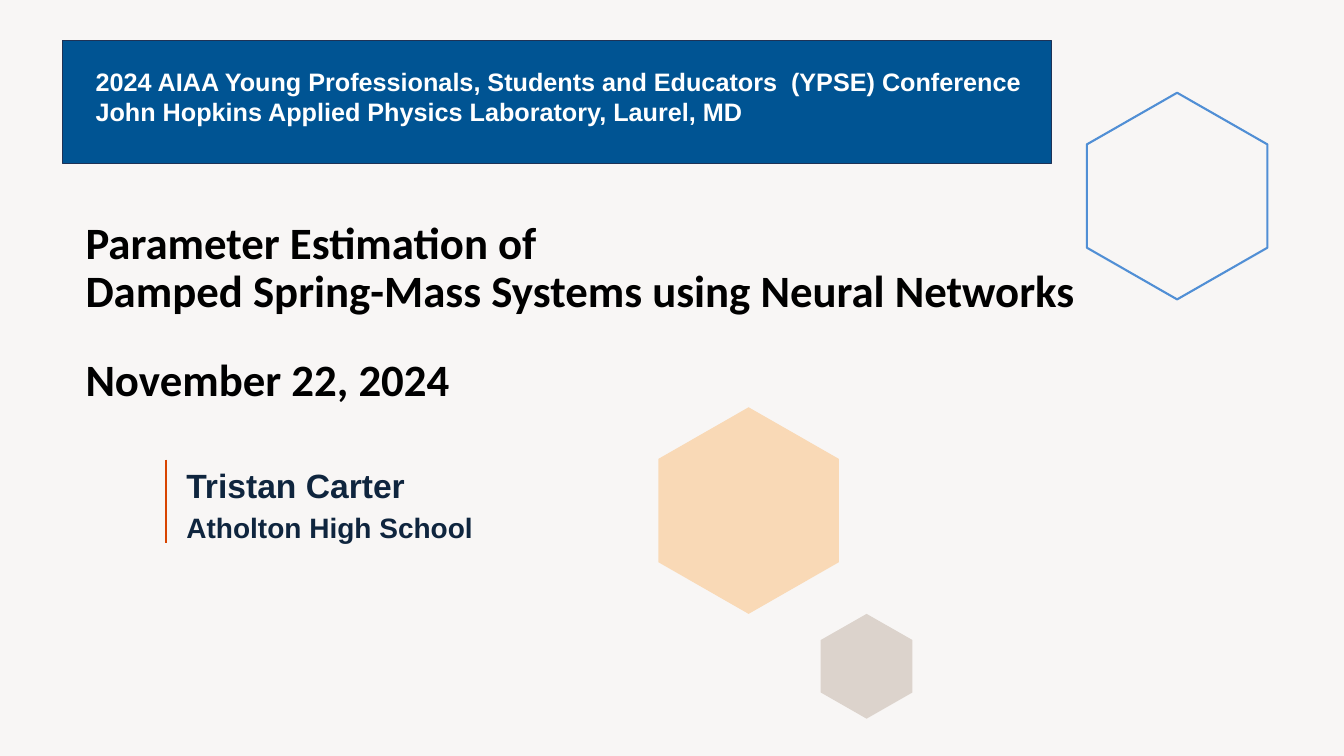
from lxml import etree
from pptx import Presentation
from pptx.dml.color import RGBColor
from pptx.enum.shapes import MSO_CONNECTOR, MSO_SHAPE
from pptx.enum.text import MSO_ANCHOR
from pptx.oxml.ns import qn
from pptx.util import Inches, Pt

RECTANGLE = MSO_SHAPE.RECTANGLE
STRAIGHT = MSO_CONNECTOR.STRAIGHT
TOP, MIDDLE = MSO_ANCHOR.TOP, MSO_ANCHOR.MIDDLE

BACKGROUND = "F8F6F5"
BANNER_BLUE = "005493"
BANNER_EDGE = "1E3256"
RULE_ORANGE = "D84400"
NAVY = "0F253E"
TITLE_WIDTH, TITLE_HEIGHT = 11.57, 1.84


def rgb(color):
    return RGBColor.from_string(color)


def style(shape, fill=None, line=None, line_width=1, opacity=100):
    """Set fill, outline and opacity in percent, and remove the shadow."""
    shape.shadow.inherit = False
    if fill:
        shape.fill.solid()
        shape.fill.fore_color.rgb = rgb(fill)
        if opacity < 100:
            color = shape._element.spPr.find(qn("a:solidFill"))[0]
            etree.SubElement(color, qn("a:alpha"), val=str(opacity * 1000))
    else:
        shape.fill.background()
    if line:
        shape.line.color.rgb = rgb(line)
        shape.line.width = Pt(line_width)
    else:
        shape.line.fill.background()


def add_text(slide, box, lines, sizes, color, font="Arial", anchor=TOP,
             wrap=True, line_spacing=None, gap=0):
    """Write one bold paragraph per line, with gap points between them."""
    text_box = slide.shapes.add_textbox(*map(Inches, box))
    frame = text_box.text_frame
    frame.word_wrap = wrap
    frame.vertical_anchor = anchor
    for index, (line, size) in enumerate(zip(lines, sizes)):
        paragraph = frame.add_paragraph() if index else frame.paragraphs[0]
        paragraph.text = line
        if index:
            paragraph.space_before = Pt(gap)
        if line_spacing:
            paragraph.line_spacing = line_spacing
        for run in paragraph.runs:
            run.font.name = font
            run.font.size = Pt(size)
            run.font.bold = True
            run.font.color.rgb = rgb(color)


def add_hexagon(slide, left, top, width, height, **format_options):
    """Draw a hexagon that stands on a point."""
    right, middle = left + width, left + width / 2
    upper, lower = top + height / 4, top + height * 3 / 4
    corners = [(middle, top), (right, upper), (right, lower),
               (middle, top + height), (left, lower), (left, upper)]
    points = [(Inches(x), Inches(y)) for x, y in corners]
    builder = slide.shapes.build_freeform(*points[0])
    builder.add_line_segments(points[1:], close=True)
    style(builder.convert_to_shape(), **format_options)


def add_banner(slide, left, top, width, height):
    banner = slide.shapes.add_shape(
        RECTANGLE, *map(Inches, (left, top, width, height)))
    style(banner, fill=BANNER_BLUE, line=BANNER_EDGE)
    add_text(slide, (left + 0.23, top + 0.21, 9.47, 0.71),
             ["2024 AIAA Young Professionals, Students and Educators  (YPSE) Conference",
              "John Hopkins Applied Physics Laboratory, Laurel, MD"],
             (18, 18), "FFFFFF", wrap=False)


def add_heading(slide, left, top, text):
    add_text(slide, (left, top, TITLE_WIDTH, TITLE_HEIGHT), [text], [32],
             "000000", font="Calibri", anchor=MIDDLE, line_spacing=0.9)


def add_author(slide, left, top, width, height):
    """Place the author and school to the right of a vertical rule."""
    rule = slide.shapes.add_connector(
        STRAIGHT, *map(Inches, (left, top, left, top + height)))
    rule.line.color.rgb = rgb(RULE_ORANGE)
    rule.line.width = Pt(1.5)
    etree.SubElement(rule._element.spPr, qn("a:effectLst"))
    add_text(slide, (left + 0.1, top, width - 0.1, height),
             ["Tristan Carter", "Atholton High School"], (24, 20), NAVY, gap=4)


def add_hexagons(slide):
    add_hexagon(slide, 8.14, 6.09, 0.91, 1.04, fill="DCD3CC")
    add_hexagon(slide, 10.78, 0.92, 1.79, 2.05, line="518FD5", line_width=1.5)
    add_hexagon(slide, 6.53, 4.04, 1.79, 2.05, fill="FABE79", opacity=50)


def main():
    presentation = Presentation()
    presentation.slide_width = Inches(13.33)
    presentation.slide_height = Inches(7.5)
    slide = presentation.slides.add_slide(presentation.slide_layouts[6])
    slide.background.fill.solid()
    slide.background.fill.fore_color.rgb = rgb(BACKGROUND)

    add_banner(slide, 0.62, 0.4, 9.81, 1.22)
    add_hexagons(slide)
    add_heading(slide, 0.75, 1.75,
                "Parameter Estimation of\nDamped Spring-Mass Systems using Neural Networks")
    add_heading(slide, 0.75, 2.87, "November 22, 2024")
    add_author(slide, 1.65, 4.56, 3.24, 0.83)
    presentation.save("out.pptx")


if __name__ == "__main__":
    main()
